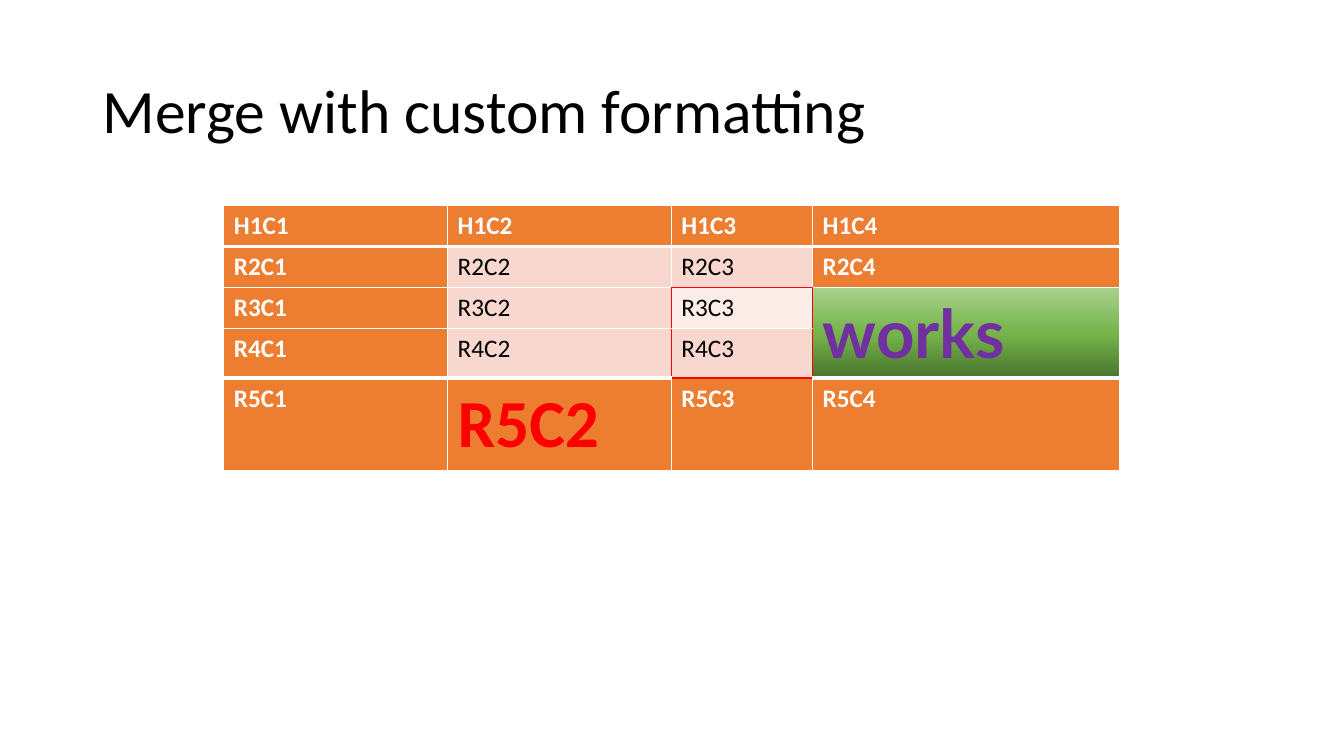
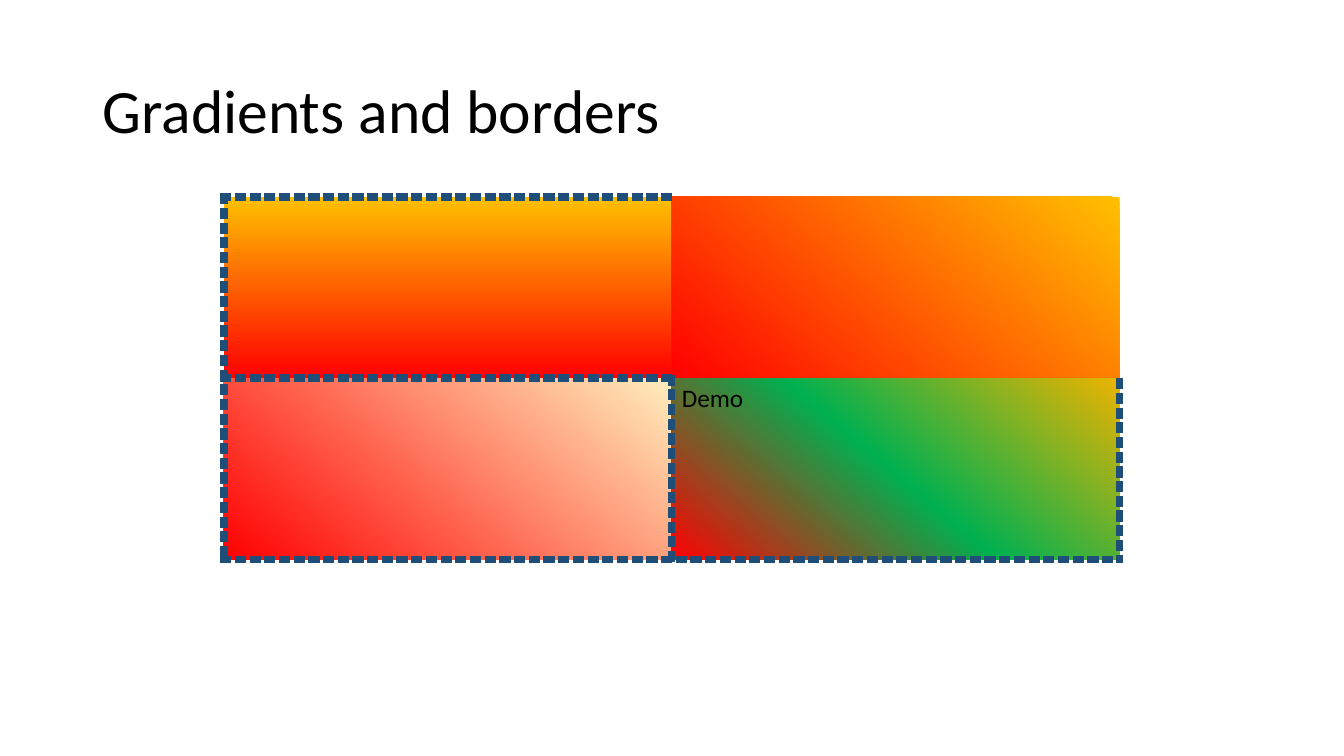
import dataclasses
import itertools
import typing

import pptx
import pptx.dml.color
import pptx.enum.text
import pptx.oxml
import pptx.oxml.ns
import pptx.util
from pptx.util import Cm, Pt

WHITE, BLACK, RED, ORANGE = "FFFFFF", "000000", "FF0000", "ED7D31"
PINK, PALE, PURPLE, NAVY, GOLD = "F8D7CE", "FCECE8", "7030A0", "1F4E79", "FFC000"
Edge = tuple[str, int, int]


@dataclasses.dataclass(frozen=True)
class Line:
    color: str
    width: float
    dash: str = "solid"


@dataclasses.dataclass(frozen=True)
class Blend:
    stops: tuple[tuple[int, str], ...]
    angle: int


@dataclasses.dataclass(frozen=True)
class Item:
    text: str
    fill: str | Blend
    color: str = BLACK
    bold: bool = False
    size: int = 18
    face: str = "Calibri"


@dataclasses.dataclass(frozen=True)
class Grid:
    """Edges are keyed by axis ("h" or "v"), row and column; others use base."""
    top: float
    cols: list[float]
    rows: list[float]
    items: list[list[Item]]
    edges: dict[Edge, Line | None]
    base: Line | None = None


def rgb(color: str) -> pptx.dml.color.RGBColor:
    return pptx.dml.color.RGBColor.from_string(color)


def style(font: typing.Any, size: int, face: str, color: str, bold: bool) -> None:
    values = {"size": Pt(size), "name": face, "bold": bold}
    for name, value in values.items():
        setattr(font, name, value)
    font.color.rgb = rgb(color)


def add_xml(props: typing.Any, tag: str, attrs: str, body: str) -> None:
    space = pptx.oxml.ns.nsdecls("a")
    props.append(pptx.oxml.parse_xml(f"<a:{tag} {space} {attrs}>{body}</a:{tag}>"))


def solid(color: str) -> str:
    return f'<a:solidFill><a:srgbClr val="{color}"/></a:solidFill>'


def add_line(props: typing.Any, side: str, line: Line | None) -> None:
    if line is None:
        add_xml(props, f"ln{side}", 'w="0"', "<a:noFill/>")
    else:
        body = solid(line.color) + f'<a:prstDash val="{line.dash}"/>'
        add_xml(props, f"ln{side}", f'w="{Pt(line.width)}"', body)


def paint(cell: typing.Any, fill: str | Blend) -> None:
    if isinstance(fill, str):
        cell.fill.solid()
        cell.fill.fore_color.rgb = rgb(fill)
        return
    stops = "".join(f'<a:gs pos="{spot * 1000}"><a:srgbClr val="{color}"/></a:gs>'
                    for spot, color in fill.stops)
    body = f'<a:gsLst>{stops}</a:gsLst><a:lin ang="{fill.angle * 60000}" scaled="0"/>'
    add_xml(cell._tc.get_or_add_tcPr(), "gradFill", 'rotWithShape="1"', body)


def draw_cell(cell: typing.Any, grid: Grid, row: int, col: int) -> None:
    item = grid.items[row][col]
    props = cell._tc.get_or_add_tcPr()
    sides = {"L": ("v", row, col), "R": ("v", row, col + 1),
             "T": ("h", row, col), "B": ("h", row + 1, col)}
    for side, edge in sides.items():
        add_line(props, side, grid.edges.get(edge, grid.base))
    paint(cell, item.fill)
    if item.text:
        run = cell.text_frame.paragraphs[0].add_run()
        run.text = item.text
        style(run.font, item.size, item.face, item.color, item.bold)


def add_grid(slide: typing.Any, grid: Grid) -> typing.Any:
    frame = slide.shapes.add_table(len(grid.rows), len(grid.cols), Cm(5.64), Cm(grid.top),
                                   Cm(sum(grid.cols)), Cm(sum(grid.rows)))
    table = frame.table
    for name in ("first_row", "horz_banding"):
        setattr(table, name, False)
    for part, width in zip(table.columns, grid.cols):
        part.width = Cm(width)
    for part, height in zip(table.rows, grid.rows):
        part.height = Cm(height)
    for row, col in itertools.product(range(len(grid.rows)), range(len(grid.cols))):
        draw_cell(table.cell(row, col), grid, row, col)
    return table


def add_slide(deck: typing.Any, text: str) -> typing.Any:
    slide = deck.slides.add_slide(deck.slide_layouts[5])
    title = slide.shapes.title
    place = {"left": Cm(2.33), "top": Cm(1.01), "width": Cm(29.21), "height": Cm(3.68)}
    for name, value in place.items():
        setattr(title, name, value)
    frame = title.text_frame
    frame.text = text
    frame.auto_size = pptx.enum.text.MSO_AUTO_SIZE.NONE
    frame.vertical_anchor = pptx.enum.text.MSO_ANCHOR.MIDDLE
    para = frame.paragraphs[0]
    para.alignment = pptx.enum.text.PP_ALIGN.LEFT
    para.line_spacing = 0.9
    style(para.runs[0].font, 44, "Calibri", BLACK, False)
    return slide


def merge_item(row: int, col: int) -> Item:
    text = f"{'R' if row else 'H'}{row + 1}C{col + 1}"
    if row in (0, 4) or col in (0, 3):
        return Item(text, ORANGE, WHITE, True)
    return Item(text, PINK)


def merge_grid() -> Grid:
    items = [[merge_item(row, col) for col in range(4)] for row in range(5)]
    items[2][2] = dataclasses.replace(items[2][2], fill=PALE)
    green = Blend(((0, "4B7430"), (48, "74B349"), (100, "A9D18E")), 270)
    items[2][3] = Item("works", green, PURPLE, True, 48, "Lato")
    items[3][3] = Item("", green)
    items[4][1] = dataclasses.replace(items[4][1], color=RED, size=48)

    edges: dict[Edge, Line | None] = {
        ("h", row, col): Line(WHITE, 3) for row in (1, 4) for col in range(4)}
    box = [("h", row, 2) for row in (2, 4)]
    box += [("v", row, col) for row in (2, 3) for col in (2, 3)]
    edges.update(dict.fromkeys(box, Line(RED, 1)))
    edges["h", 3, 3] = None
    return Grid(5.18, [5.64, 5.64, 3.56, 7.74], [1.03, 1.03, 1.03, 1.25, 2.32],
                items, edges, Line(WHITE, 1))


def blend_grid() -> Grid:
    fire = ((0, GOLD), (100, RED))
    items = [
        [Item("", Blend(fire, 90)), Item("", Blend(fire, 130))],
        [Item("", Blend(((0, "FFEFBD"), (100, RED)), 130)),
         Item("Demo", Blend(((0, "EDB300"), (51, "00B050"), (100, RED)), 130))],
    ]
    dashed = [("h", row, 0) for row in range(3)] + [("h", 2, 1), ("v", 0, 0)]
    dashed += [("v", 1, col) for col in range(3)]
    edges = dict.fromkeys(dashed, Line(NAVY, 6, "sysDash"))
    return Grid(4.96, [11.29] * 2, [4.57] * 2, items, edges)


def main() -> None:
    deck = pptx.Presentation()
    deck.slide_width, deck.slide_height = Cm(33.87), Cm(19.05)
    table = add_grid(add_slide(deck, "Merge with custom formatting"), merge_grid())
    table.cell(2, 3).merge(table.cell(3, 3))
    add_grid(add_slide(deck, "Gradients and borders"), blend_grid())
    deck.save("out.pptx")


if __name__ == "__main__":
    main()
